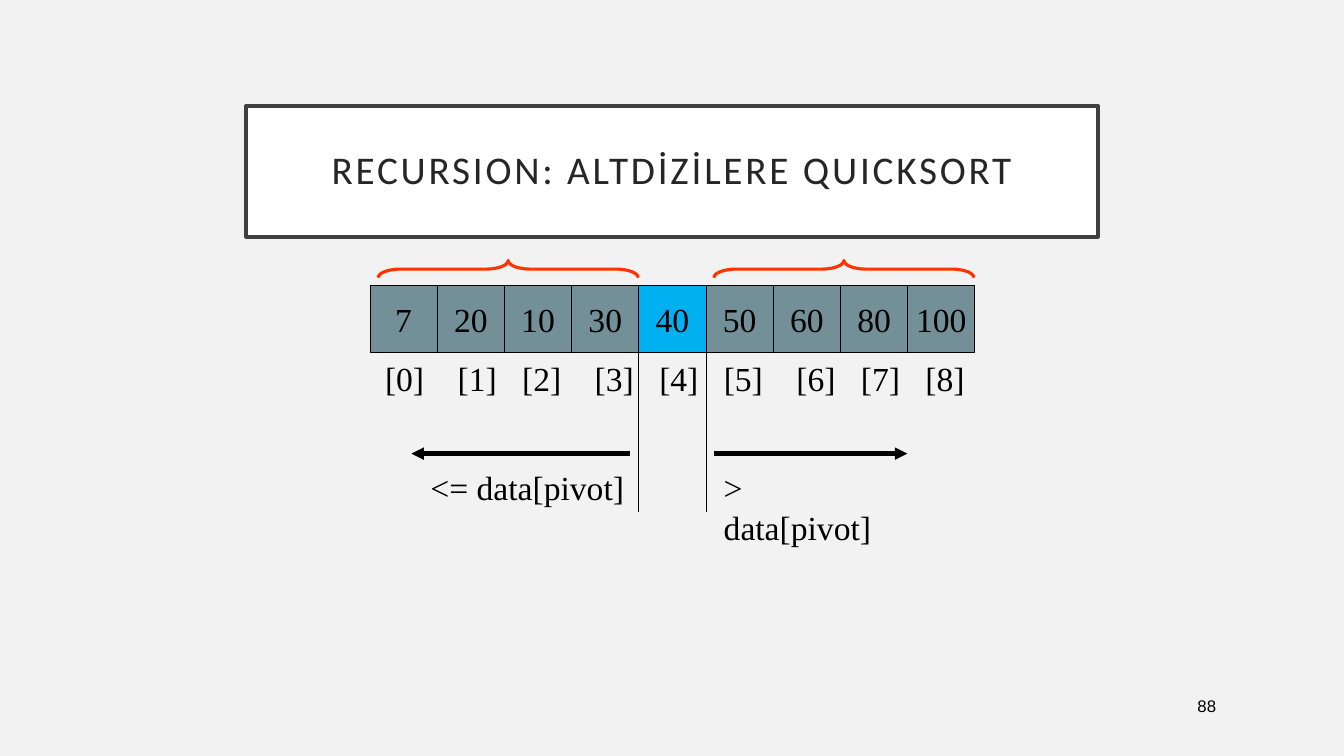
from itertools import accumulate

from lxml.etree import SubElement
from pptx import Presentation
from pptx.dml.color import RGBColor
from pptx.enum.shapes import MSO_CONNECTOR as Connector, MSO_SHAPE as Shape
from pptx.enum.text import MSO_ANCHOR as Anchor, MSO_AUTO_SIZE as AutoSize, PP_ALIGN as Align
from pptx.oxml.ns import qn
from pptx.util import Inches, Pt

TITLE = "RECURSION: ALTDİZİLERE QUICKSORT"
PAGE_NUMBER = "88"
DATA = [7, 20, 10, 30, 40, 50, 60, 80, 100]
PIVOT = 4
LABEL_STEPS = [0.72, 0.64, 0.72, 0.64, 0.64, 0.72, 0.64, 0.64]
CAPTIONS = [("<= data[pivot]", 4.17, 2.12), ("> data[pivot]", 7.08, 1.93)]
ARROWS = [(6.25, 4.08), (7.08, 9)]
BRACE_STARTS = [3.75, 7.08]
COLORS = {
    "background": "F2F2F2", "white": "FFFFFF", "frame": "404040", "title": "262626",
    "text": "000000", "cell": "738F97", "pivot": "00B0F0", "brace": "FF3300",
}
SERIF = "Times New Roman"
CELL = 2 / 3
ROW_LEFT, ROW_TOP = 3.67, 2.83
BRACE_WIDTH, BRACE_HEIGHT, BRACE_MIDDLE = 2.58, 0.17, 2.67


def color(name):
    return RGBColor.from_string(COLORS[name])


def write(shape, text, font=SERIF, size=24, ink="text", align=Align.CENTER):
    frame = shape.text_frame
    frame.text = text
    para = frame.paragraphs[0]
    para.alignment = align
    span = para.runs[0]
    span.font.name = font
    span.font.size = Pt(size)
    span.font.color.rgb = color(ink)
    return para


def set_line(shape, name, width):
    shape.line.color.rgb = color(name)
    shape.line.width = Pt(width)


def add_box(page, kind, left, top, width, height):
    box = page.shapes.add_shape(kind, Inches(left), Inches(top), Inches(width), Inches(height))
    box.shadow.inherit = False
    box.fill.background()
    box.line.fill.background()
    box.text_frame.vertical_anchor = Anchor.MIDDLE
    box.text_frame.word_wrap = False
    return box


def add_text(page, text, left, top, width):
    box = page.shapes.add_textbox(Inches(left), Inches(top), Inches(width), Inches(0.5))
    box.text_frame.word_wrap = False
    return write(box, text, align=Align.LEFT)


def add_line(page, start, end, width):
    line = page.shapes.add_connector(Connector.STRAIGHT, *map(Inches, start + end))
    set_line(line, "text", width)
    SubElement(line._element.spPr, qn("a:effectLst"))
    return line


def add_title(page):
    title = page.shapes.title
    title.left, title.top, title.width, title.height = map(Inches, (2.44, 1.05, 8.45, 1.3))
    title.fill.solid()
    title.fill.fore_color.rgb = color("white")
    set_line(title, "frame", 2.5)
    para = write(title, TITLE, "Calibri", 28, "title")
    para.line_spacing = 0.9
    para.runs[0]._r.get_or_add_rPr().set("spc", "200")
    frame = title.text_frame
    frame.auto_size = AutoSize.NONE
    frame.vertical_anchor = Anchor.MIDDLE
    frame.margin_left = frame.margin_right = Inches(0.2)
    frame.margin_top = frame.margin_bottom = Inches(0.2)


def add_array(page):
    for index, value in enumerate(DATA):
        box = add_box(page, Shape.RECTANGLE, ROW_LEFT + index * CELL, ROW_TOP, CELL, CELL)
        box.fill.solid()
        box.fill.fore_color.rgb = color("pivot" if index == PIVOT else "cell")
        set_line(box, "text", 0.75)
        write(box, str(value))

    labels = "\t".join(f"[{index}]" for index in range(len(DATA)))
    para = add_text(page, labels, 3.72, ROW_TOP + CELL, 5.95)
    stops = SubElement(para._p.get_or_add_pPr(), qn("a:tabLst"))
    for position in accumulate(LABEL_STEPS):
        SubElement(stops, qn("a:tab"), pos=str(Inches(position)), algn="l")


def add_partitions(page):
    for edge in (PIVOT, PIVOT + 1):
        x = ROW_LEFT + edge * CELL
        add_line(page, (x, ROW_TOP), (x, 5.08), 0.75)
    for start, end in ARROWS:
        arrow = add_line(page, (start, 4.5), (end, 4.5), 3)
        SubElement(arrow.line._get_or_add_ln(), qn("a:tailEnd"), type="triangle")
    for text, left, width in CAPTIONS:
        add_text(page, text, left, 4.58, width)
    for start in BRACE_STARTS:
        left = start + (BRACE_WIDTH - BRACE_HEIGHT) / 2
        top = BRACE_MIDDLE - BRACE_WIDTH / 2
        brace = add_box(page, Shape.LEFT_BRACE, left, top, BRACE_HEIGHT, BRACE_WIDTH)
        brace.rotation = 90
        brace.adjustments[0] = 1.29
        set_line(brace, "brace", 2.25)


def main():
    deck = Presentation()
    deck.slide_width, deck.slide_height = Inches(13.33), Inches(7.5)
    page = deck.slides.add_slide(deck.slide_layouts[5])
    page.background.fill.solid()
    page.background.fill.fore_color.rgb = color("background")
    add_title(page)
    add_array(page)
    add_partitions(page)
    number = add_box(page, Shape.OVAL, 11.77, 6.8, 0.4, 0.4)
    number.text_frame.margin_left = number.text_frame.margin_right = Inches(0.02)
    write(number, PAGE_NUMBER, "Arial", 12)
    deck.save("out.pptx")


if __name__ == "__main__":
    main()
